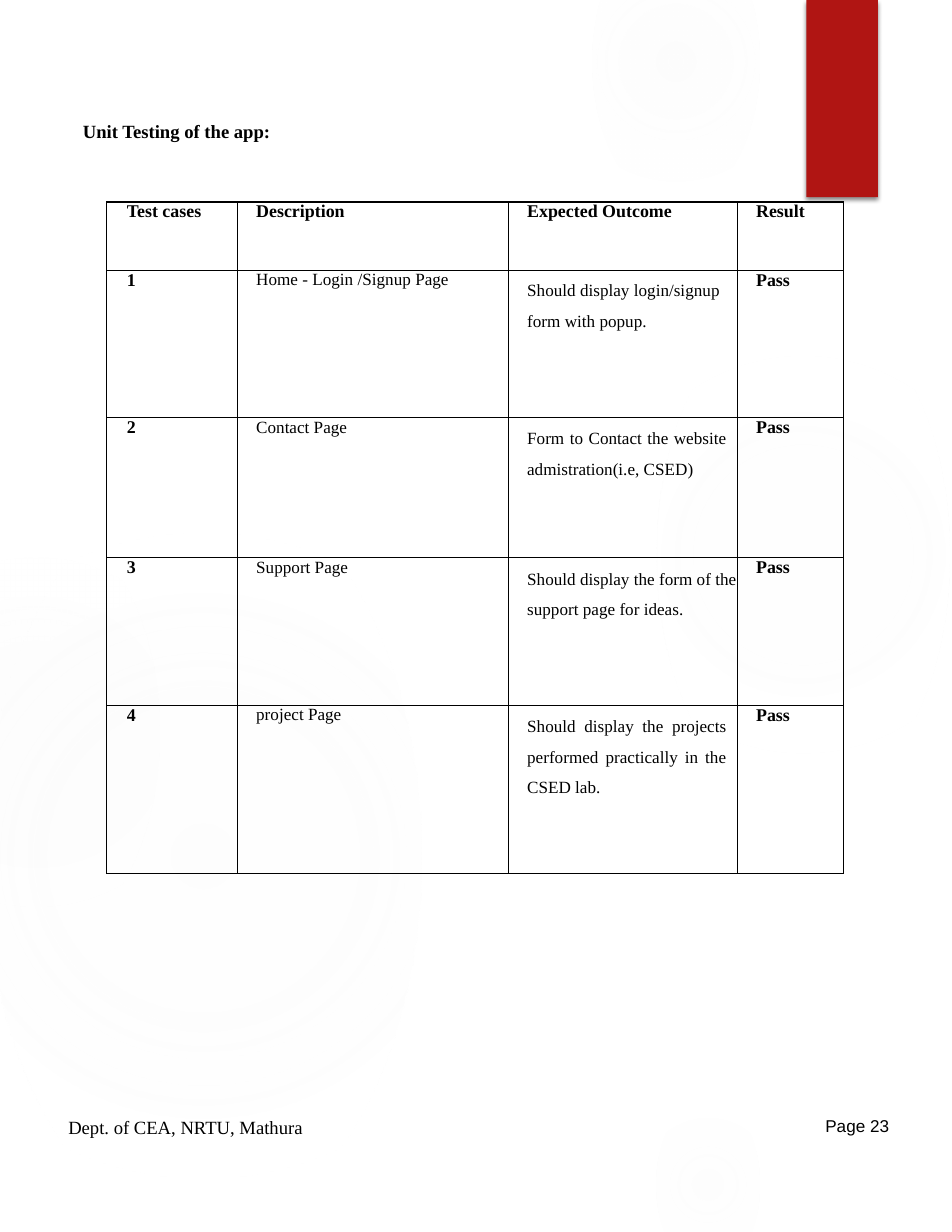
from dataclasses import dataclass
from typing import Optional

from lxml import etree
from pptx import Presentation
from pptx.dml.color import RGBColor
from pptx.enum.shapes import MSO_SHAPE
from pptx.enum.text import PP_ALIGN
from pptx.oxml import parse_xml
from pptx.oxml.ns import nsdecls, qn
from pptx.slide import Slide
from pptx.table import _Cell
from pptx.util import Pt

RECTANGLE = MSO_SHAPE.RECTANGLE
OVAL = MSO_SHAPE.OVAL
LEFT = PP_ALIGN.LEFT
JUSTIFY = PP_ALIGN.JUSTIFY


@dataclass(frozen=True)
class Theme:
    ink: str = "000000"
    ribbon: str = "B01513"
    glow: str = "F3F3F3"
    serif: str = "Times New Roman"
    sans: str = "Arial"
    title_size: float = 12
    strong_size: float = 11.5
    body_size: float = 11
    thin_rule: float = 0.5
    top_rule: float = 1


@dataclass(frozen=True)
class Box:
    left: float
    top: float
    width: float
    height: float

    def lengths(self) -> tuple:
        return Pt(self.left), Pt(self.top), Pt(self.width), Pt(self.height)


@dataclass(frozen=True)
class Glow:
    box: Box
    center_alpha: int
    middle_alpha: int
    fade_end: int


@dataclass(frozen=True)
class Style:
    size: float
    bold: bool = False
    font: str = Theme.serif
    align: PP_ALIGN = LEFT
    spacing: Optional[float] = None
    right_indent: float = 0


@dataclass(frozen=True)
class Label:
    text: str
    box: Box
    style: Style


@dataclass(frozen=True)
class TestCase:
    page: str
    outcome: str
    height: float
    align: PP_ALIGN = LEFT
    spacing: float = 19.7


THEME = Theme()
STRONG = Style(THEME.strong_size, bold=True)
BODY = Style(THEME.body_size)

GLOWS = [
    Glow(Box(421.9, 193.7, 188.6, 325.4), 7, 6, 69),
    Glow(Box(380.9, -52.6, 107.3, 185), 14, 7, 73),
    Glow(Box(421.9, 704.2, 66.2, 114.5), 9, 5, 66),
    Glow(Box(-10.1, 308.2, 280.8, 483.8), 11, 10, 75),
    Glow(Box(-56.2, 334.1, 158.4, 272.9), 8, 8, 72),
]
RIBBON = Box(518.4, 0, 46, 126.7)
LABELS = [
    Label("Unit Testing of the app:", Box(53.3, 77, 124, 13.7),
          Style(THEME.title_size, bold=True)),
    Label("Dept. of CEA, NRTU, Mathura", Box(43.9, 717.1, 160, 13.7),
          Style(THEME.title_size)),
    Label("Page 23", Box(530.6, 717.1, 44, 13.7),
          Style(THEME.body_size, font=THEME.sans)),
]

TABLE_LEFT, TABLE_TOP = 68.5, 129.8
COLUMN_WIDTHS = [84.2, 174.2, 147.2, 68.1]
CELL_INDENTS = [13, 12, 12, 12]
HEADER_HEIGHT = 43.8
HEADINGS = ["Test cases", "Description", "Expected Outcome", "Result"]
TEST_CASES = [
    TestCase("Home - Login /Signup Page",
             "Should display login/signup form with popup.", 95),
    TestCase("Contact Page",
             "Form to Contact the website admistration(i.e, CSED)", 90, JUSTIFY),
    TestCase("Support Page",
             "Should display the form of the support page for ideas.", 95,
             spacing=19.9),
    TestCase("project Page",
             "Should display the projects performed practically in the CSED lab.",
             108, JUSTIFY),
]


def write(frame, text: str, style: Style, indent: float = 0) -> None:
    paragraph = frame.paragraphs[0]
    paragraph.text = text
    paragraph.alignment = style.align
    paragraph.font.name = style.font
    paragraph.font.size = Pt(style.size)
    paragraph.font.bold = style.bold
    paragraph.font.color.rgb = RGBColor.from_string(THEME.ink)
    if style.spacing:
        paragraph.line_spacing = Pt(style.spacing)
    properties = paragraph._p.get_or_add_pPr()
    properties.set("marL", str(Pt(indent)))
    properties.set("marR", str(Pt(style.right_indent)))
    properties.set("indent", "0")


def clear_margins(holder) -> None:
    holder.margin_left = holder.margin_right = 0
    holder.margin_top = holder.margin_bottom = 0


def add_plain_shape(slide: Slide, kind: MSO_SHAPE, box: Box, color: str):
    shape = slide.shapes.add_shape(kind, *box.lengths())
    shape.shadow.inherit = False
    shape.fill.solid()
    shape.fill.fore_color.rgb = RGBColor.from_string(color)
    shape.line.fill.background()
    return shape


def add_glow(slide: Slide, glow: Glow) -> None:
    properties = add_plain_shape(slide, OVAL, glow.box, THEME.glow)._element.spPr
    levels = [(0, glow.center_alpha), (36, glow.middle_alpha), (glow.fade_end, 0)]
    stops = "".join(
        f'<a:gs pos="{position * 1000}"><a:srgbClr val="{THEME.glow}">'
        f'<a:alpha val="{alpha * 1000}"/></a:srgbClr></a:gs>'
        for position, alpha in levels)
    gradient = parse_xml(
        f'<a:gradFill {nsdecls("a")}><a:gsLst>{stops}</a:gsLst>'
        '<a:path path="circle"><a:fillToRect l="50000" t="50000" r="50000" '
        'b="50000"/></a:path></a:gradFill>')
    properties.replace(properties.find(qn("a:solidFill")), gradient)


def add_ribbon(slide: Slide, box: Box) -> None:
    ribbon = add_plain_shape(slide, RECTANGLE, box, THEME.ribbon)
    effects = ribbon._element.spPr.find(qn("a:effectLst"))
    shadow = etree.SubElement(effects, qn("a:outerShdw"), blurRad=str(Pt(3)),
                              dist=str(Pt(2)), dir="5400000", rotWithShape="0")
    color = etree.SubElement(shadow, qn("a:srgbClr"), val=THEME.ink)
    etree.SubElement(color, qn("a:alpha"), val="45000")


def add_label(slide: Slide, label: Label) -> None:
    frame = slide.shapes.add_textbox(*label.box.lengths()).text_frame
    frame.word_wrap = True
    clear_margins(frame)
    write(frame, label.text, label.style)


def set_borders(cell: _Cell, top_width: float) -> None:
    properties = cell._tc.get_or_add_tcPr()
    for index, side in enumerate("LRTB"):
        width = top_width if side == "T" else THEME.thin_rule
        properties.insert(index, parse_xml(
            f'<a:ln{side} {nsdecls("a")} w="{Pt(width)}"><a:solidFill>'
            f'<a:srgbClr val="{THEME.ink}"/></a:solidFill></a:ln{side}>'))


def case_cells(number: int, case: TestCase) -> list[tuple[str, Style]]:
    right_indent = 7 if case.align == JUSTIFY else 0
    outcome_style = Style(THEME.body_size, align=case.align,
                          spacing=case.spacing, right_indent=right_indent)
    return [(str(number), STRONG), (case.page, BODY),
            (case.outcome, outcome_style), ("Pass", STRONG)]


def add_test_table(slide: Slide) -> None:
    heights = [HEADER_HEIGHT] + [case.height for case in TEST_CASES]
    content = [[(heading, STRONG) for heading in HEADINGS]]
    content += [case_cells(number, case)
                for number, case in enumerate(TEST_CASES, 1)]
    box = Box(TABLE_LEFT, TABLE_TOP, sum(COLUMN_WIDTHS), sum(heights))
    table = slide.shapes.add_table(
        len(heights), len(COLUMN_WIDTHS), *box.lengths()).table
    table.first_row = table.horz_banding = False
    for column, width in zip(table.columns, COLUMN_WIDTHS):
        column.width = Pt(width)
    for row_index, (row, height) in enumerate(zip(table.rows, heights)):
        row.height = Pt(height)
        top_width = THEME.thin_rule if row_index else THEME.top_rule
        for cell, (text, style), indent in zip(
                row.cells, content[row_index], CELL_INDENTS):
            cell.fill.background()
            clear_margins(cell)
            set_borders(cell, top_width)
            write(cell.text_frame, text, style, indent)


def main() -> None:
    deck = Presentation()
    deck.slide_width, deck.slide_height = Pt(612), Pt(792)
    slide = deck.slides.add_slide(deck.slide_layouts[6])
    for glow in GLOWS:
        add_glow(slide, glow)
    add_ribbon(slide, RIBBON)
    add_test_table(slide)
    for label in LABELS:
        add_label(slide, label)
    deck.save("out.pptx")


if __name__ == "__main__":
    main()
